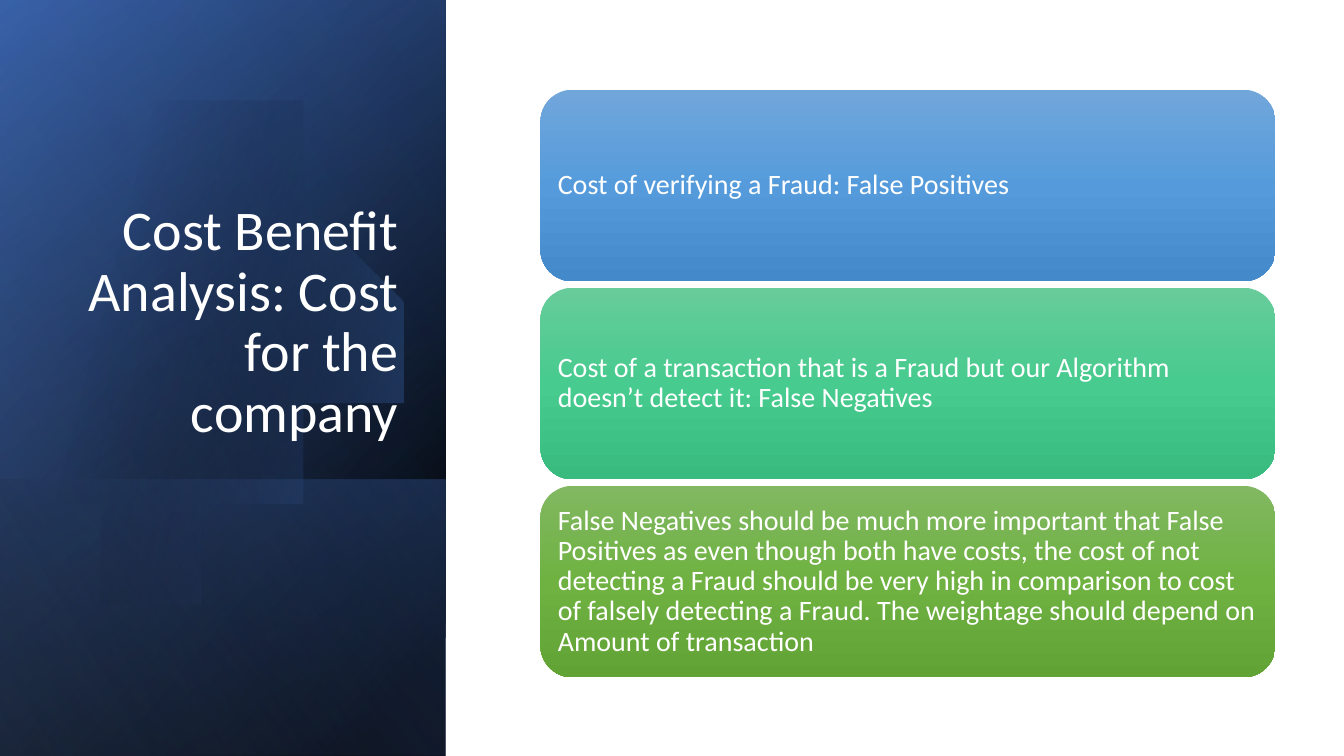
from dataclasses import dataclass

import lxml.etree
import pptx
import pptx.dml.color
import pptx.enum.shapes
import pptx.enum.text
import pptx.oxml.ns
import pptx.shapes.autoshape
import pptx.slide
import pptx.text.text
import pptx.util

Inches = pptx.util.Inches
qn = pptx.oxml.ns.qn
FONT = "Calibri"
WHITE = "FFFFFF"
PANEL_WIDTH = 4.42
SLIDE_HEIGHT = 7.5
CARD_LEFT, CARD_TOP = 5.36, 0.89
CARD_WIDTH, CARD_HEIGHT = 7.29, 1.9
CARD_PITCH = 1.965
CURVE_STEPS = 24

Point = tuple[float, float]


@dataclass(frozen=True)
class Stop:
    position: int
    color: str
    opacity: int = 100


@dataclass(frozen=True)
class Gradient:
    angle: int
    stops: tuple[Stop, ...]


@dataclass(frozen=True)
class PanelLayer:
    top: float
    gradient: Gradient


@dataclass(frozen=True)
class Card:
    text: str
    colors: tuple[str, str, str]


BASE_LAYERS = (
    PanelLayer(0, Gradient(50, (Stop(8, "000000"), Stop(100, "2F5597")))),
    PanelLayer(0, Gradient(30, (Stop(0, "000000", 0), Stop(99, "4472C4", 46)))),
    PanelLayer(4.76, Gradient(130, (Stop(2, "4472C4", 29), Stop(100, "000000", 30)))),
)
TOP_LAYER = PanelLayer(0, Gradient(120, (Stop(0, "000000", 0), Stop(99, "8FAADC", 11))))

DISC_GRADIENT = Gradient(14, (Stop(29, "000000", 0), Stop(100, "4472C4", 43)))
DISC_START: Point = (1.49, 1.1)
DISC_RIGHT_CURVES: tuple[tuple[Point, Point, Point], ...] = (
    ((2.46, 1.12), (3.35, 1.77), (3.63, 2.75)),
    ((3.98, 3.97), (3.28, 5.23), (2.07, 5.58)),
    ((1.31, 5.8), (0.53, 5.61), (-0.03, 5.14)),
)
DISC_LEFT_EDGE: tuple[Point, ...] = ((-0.15, 5.03), (-0.15, 1.75), (0, 1.61))
DISC_LEFT_CURVES: tuple[tuple[Point, Point, Point], ...] = (
    ((0.23, 1.42), (0.5, 1.28), (0.8, 1.19)),
    ((1.03, 1.13), (1.26, 1.1), (1.49, 1.1)),
)

CARDS = (
    Card("Cost of verifying a Fraud: False Positives", ("71A6DB", "559BDB", "448ACA")),
    Card(
        "Cost of a transaction that is a Fraud but our Algorithm doesn’t detect it: "
        "False Negatives",
        ("67CC9A", "47CB8E", "39BB7F"),
    ),
    Card(
        "False Negatives should be much more important that False Positives as even "
        "though both have costs, the cost of not detecting a Fraud should be very high "
        "in comparison to cost of falsely detecting a Fraud. The weightage should "
        "depend on Amount of transaction",
        ("81B861", "6FB242", "62A336"),
    ),
)


def rgb(color: str) -> pptx.dml.color.RGBColor:
    return pptx.dml.color.RGBColor.from_string(color)


def paint(shape: pptx.shapes.autoshape.Shape, gradient: Gradient) -> None:
    shape.shadow.inherit = False
    shape.line.fill.background()
    shape.fill.gradient()
    fill = shape.element.spPr.find(qn("a:gradFill"))
    fill.clear()
    fill.set("rotWithShape", "1")
    stop_list = lxml.etree.SubElement(fill, qn("a:gsLst"))
    for stop in gradient.stops:
        entry = lxml.etree.SubElement(stop_list, qn("a:gs"), pos=str(stop.position * 1000))
        color = lxml.etree.SubElement(entry, qn("a:srgbClr"), val=stop.color)
        if stop.opacity < 100:
            lxml.etree.SubElement(color, qn("a:alpha"), val=str(stop.opacity * 1000))
    lxml.etree.SubElement(fill, qn("a:lin"), ang=str(gradient.angle * 60000), scaled="0")


def write(
    frame: pptx.text.text.TextFrame,
    text: str,
    size: int,
    alignment: pptx.enum.text.PP_ALIGN,
    anchor: pptx.enum.text.MSO_ANCHOR,
) -> None:
    frame.text = text
    frame.word_wrap = True
    frame.auto_size = pptx.enum.text.MSO_AUTO_SIZE.NONE
    frame.vertical_anchor = anchor
    paragraph = frame.paragraphs[0]
    paragraph.alignment = alignment
    paragraph.line_spacing = 0.9
    paragraph.font.name = FONT
    paragraph.font.size = pptx.util.Pt(size)
    paragraph.font.color.rgb = rgb(color=WHITE)


def add_layer(slide: pptx.slide.Slide, layer: PanelLayer) -> None:
    length = SLIDE_HEIGHT - layer.top
    shape = slide.shapes.add_shape(
        pptx.enum.shapes.MSO_SHAPE.RECTANGLE,
        Inches((PANEL_WIDTH - length) / 2),
        Inches(layer.top + (length - PANEL_WIDTH) / 2),
        Inches(length),
        Inches(PANEL_WIDTH),
    )
    shape.rotation = 90
    shape.element.spPr.find(qn("a:xfrm")).set("flipH", "1")
    paint(shape, layer.gradient)


def trace(start: Point, curves: tuple[tuple[Point, Point, Point], ...]) -> list[Point]:
    points: list[Point] = []
    for first, second, end in curves:
        for step in range(1, CURVE_STEPS + 1):
            t = step / CURVE_STEPS
            weights = ((1 - t) ** 3, 3 * t * (1 - t) ** 2, 3 * t**2 * (1 - t), t**3)
            corners = (start, first, second, end)
            x = sum(weight * corner[0] for weight, corner in zip(weights, corners))
            y = sum(weight * corner[1] for weight, corner in zip(weights, corners))
            points.append((x, y))
        start = end
    return points


def add_disc(slide: pptx.slide.Slide) -> None:
    outline = trace(DISC_START, DISC_RIGHT_CURVES)
    outline += DISC_LEFT_EDGE
    outline += trace(DISC_LEFT_EDGE[-1], DISC_LEFT_CURVES)
    builder = slide.shapes.build_freeform(*DISC_START, scale=Inches(1))
    builder.add_line_segments(outline, close=True)
    paint(builder.convert_to_shape(), DISC_GRADIENT)


def place_title(slide: pptx.slide.Slide) -> None:
    title = slide.shapes.title
    title.left, title.top = Inches(0.64), Inches(1.84)
    title.width, title.height = Inches(3.41), Inches(2.62)
    write(
        title.text_frame,
        "Cost Benefit Analysis: Cost for the company",
        40,
        pptx.enum.text.PP_ALIGN.RIGHT,
        pptx.enum.text.MSO_ANCHOR.BOTTOM,
    )
    title.element.getparent().append(title.element)


def add_card(slide: pptx.slide.Slide, card: Card, top: float) -> None:
    shape = slide.shapes.add_shape(
        pptx.enum.shapes.MSO_SHAPE.ROUNDED_RECTANGLE,
        Inches(CARD_LEFT), Inches(top), Inches(CARD_WIDTH), Inches(CARD_HEIGHT),
    )
    stops = tuple(Stop(50 * index, color) for index, color in enumerate(card.colors))
    paint(shape, Gradient(90, stops))
    frame = shape.text_frame
    frame.margin_left = frame.margin_right = Inches(0.08)
    frame.margin_top = frame.margin_bottom = Inches(0.08)
    write(frame, card.text, 20, pptx.enum.text.PP_ALIGN.LEFT, pptx.enum.text.MSO_ANCHOR.MIDDLE)


def main() -> None:
    presentation = pptx.Presentation()
    presentation.slide_width = Inches(13.33)
    presentation.slide_height = Inches(SLIDE_HEIGHT)
    slide = presentation.slides.add_slide(presentation.slide_layouts[5])
    for layer in BASE_LAYERS:
        add_layer(slide, layer)
    add_disc(slide)
    add_layer(slide, TOP_LAYER)
    place_title(slide)
    for index, card in enumerate(CARDS):
        add_card(slide, card, CARD_TOP + index * CARD_PITCH)
    presentation.save("out.pptx")


if __name__ == "__main__":
    main()
